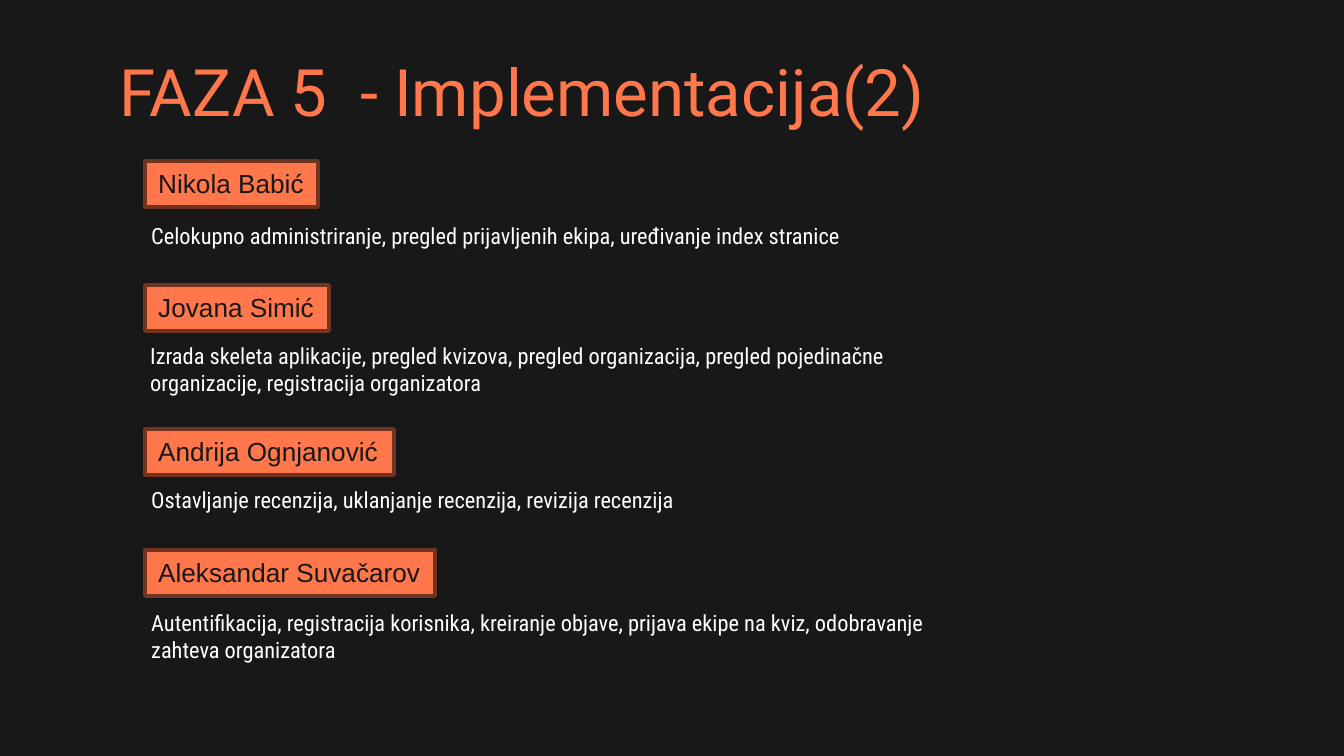
from pptx import Presentation
from pptx.dml.color import RGBColor
from pptx.enum.shapes import MSO_SHAPE
from pptx.enum.text import MSO_ANCHOR, MSO_AUTO_SIZE, PP_ALIGN
from pptx.util import Pt

WIDE, HIGH = 1344, 756
SCALE = 9144000 / WIDE
DARK, CORAL, RUST, WHITE = "181818", "FF774B", "703421", "FFFFFF"

TITLE = "FAZA 5  - Implementacija(2)"
# name, tag top, tag width, task, task left, task top, task lines
TEAM = [
    ("Nikola Babić", 161, 173,
     "Celokupno administriranje, pregled prijavljenih ekipa, "
     "uređivanje index stranice", 138, 216, 1),
    ("Jovana Simić", 285, 184,
     "Izrada skeleta aplikacije, pregled kvizova, pregled organizacija, "
     "pregled pojedinačne organizacije, registracija organizatora", 137, 336, 2),
    ("Andrija Ognjanović", 429, 249,
     "Ostavljanje recenzija, uklanjanje recenzija, revizija recenzija",
     138, 480, 1),
    ("Aleksandar Suvačarov", 550, 290,
     "Autentifikacija, registracija korisnika, kreiranje objave, "
     "prijava ekipe na kviz, odobravanje zahteva organizatora", 138, 603, 2),
]
TAG_LEFT, TAG_HIGH = 145, 46
TASK_WIDE, LINE_HIGH, TASK_PAD = 813, 27, 13


def px(n):
    return round(n * SCALE)


def color(code):
    return RGBColor.from_string(code)


def write(shape, text, font, size, ink, wrap=True, grow=True,
          anchor=MSO_ANCHOR.TOP):
    frame = shape.text_frame
    frame.word_wrap = wrap
    frame.auto_size = (MSO_AUTO_SIZE.SHAPE_TO_FIT_TEXT if grow
                       else MSO_AUTO_SIZE.NONE)
    frame.vertical_anchor = anchor
    para = frame.paragraphs[0]
    para.alignment = PP_ALIGN.LEFT
    run = para.add_run()
    run.text = text
    run.font.name = font
    run.font.size = Pt(size)
    run.font.color.rgb = color(ink)


def add_box(slide, *place):
    return slide.shapes.add_textbox(*map(px, place))


def add_tag(slide, *place):
    tag = slide.shapes.add_shape(MSO_SHAPE.RECTANGLE, *map(px, place))
    tag.shadow.inherit = False
    tag.fill.solid()
    tag.fill.fore_color.rgb = color(CORAL)
    tag.line.color.rgb = color(RUST)
    tag.line.width = Pt(2)
    return tag


def main():
    deck = Presentation()
    deck.slide_width, deck.slide_height = px(WIDE), px(HIGH)
    slide = deck.slides.add_slide(deck.slide_layouts[6])
    slide.background.fill.solid()
    slide.background.fill.fore_color.rgb = color(DARK)

    title = add_box(slide, 106, 48, 1133, 85)
    write(title, TITLE, "Roboto", 35, CORAL, grow=False,
          anchor=MSO_ANCHOR.MIDDLE)

    for name, top, wide, task, left, low, lines in TEAM:
        tag = add_tag(slide, TAG_LEFT, top, wide, TAG_HIGH)
        write(tag, name, "Arial", 14, DARK, wrap=False)
        note = add_box(slide, left, low, TASK_WIDE,
                       TASK_PAD + lines * LINE_HIGH)
        write(note, task, "Roboto Condensed", 12, WHITE)

    deck.save("out.pptx")


if __name__ == "__main__":
    main()
